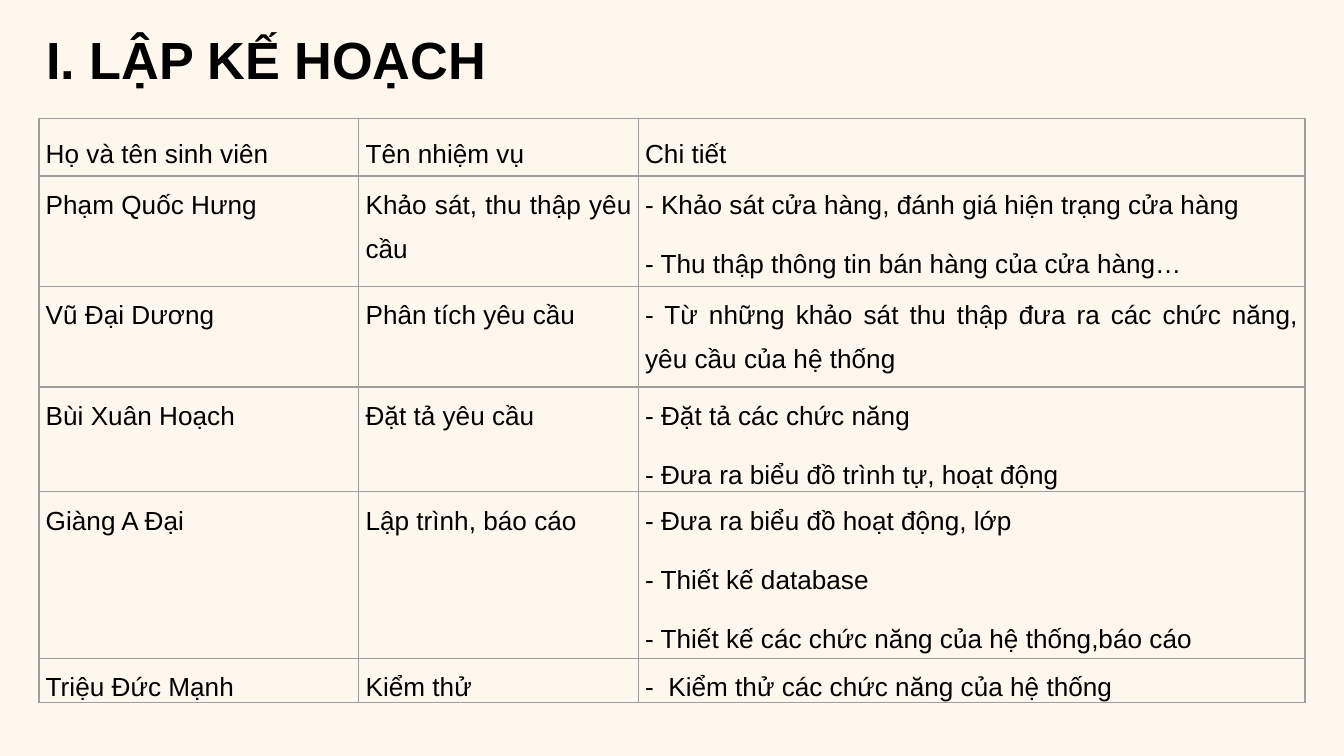
from dataclasses import dataclass

import lxml.etree
import pptx
import pptx.dml.color
import pptx.enum.text
import pptx.oxml.ns
import pptx.util

Inches, Pt = pptx.util.Inches, pptx.util.Pt
RGB = pptx.dml.color.RGBColor.from_string
Anchor, Align = pptx.enum.text.MSO_ANCHOR, pptx.enum.text.PP_ALIGN
qn = pptx.oxml.ns.qn


@dataclass(frozen=True)
class Theme:
    background: str = "FEF7EE"
    ink: str = "000000"
    border: str = "9E9E9E"
    font: str = "Arial"
    title_size: int = 28
    body_size: int = 14
    border_width: float = 0.75


THEME = Theme()
SLIDE_WIDTH = 10
SLIDE_HEIGHT = SLIDE_WIDTH * 9 / 16

TITLE = "I. LẬP KẾ HOẠCH"
TITLE_BOX = (-0.37, -0.18, 4.7, 0.95)

HEADINGS = ("Họ và tên sinh viên", "Tên nhiệm vụ", ["Chi tiết"])
ASSIGNMENTS = [
    ("Phạm Quốc Hưng", "Khảo sát, thu thập yêu cầu", [
        "- Khảo sát cửa hàng, đánh giá hiện trạng cửa hàng",
        "- Thu thập thông tin bán hàng của cửa hàng…"]),
    ("Vũ Đại Dương", "Phân tích yêu cầu", [
        "- Từ những khảo sát thu thập đưa ra các chức năng, yêu cầu của hệ thống"]),
    ("Bùi Xuân Hoạch", "Đặt tả yêu cầu", [
        "- Đặt tả các chức năng",
        "- Đưa ra biểu đồ trình tự, hoạt động"]),
    ("Giàng A Đại", "Lập trình, báo cáo", [
        "- Đưa ra biểu đồ hoạt động, lớp",
        "- Thiết kế database",
        "- Thiết kế các chức năng của hệ thống,báo cáo"]),
    ("Triệu Đức Mạnh", "Kiểm thử", [
        "-  Kiểm thử các chức năng của hệ thống"]),
]
TABLE_ORIGIN = (0.29, 0.88)
COLUMN_WIDTHS = (2.38, 2.08, 4.96)
ROW_HEIGHTS = (0.43, 0.82, 0.75, 0.78, 1.24, 0.31)


def style_font(font, size, bold=False):
    font.name, font.size, font.bold = THEME.font, Pt(size), bold
    font.color.rgb = RGB(THEME.ink)


def add_borders(cell):
    """Outline all four sides; the lines must precede the fill in tcPr."""
    properties = cell._tc.get_or_add_tcPr()
    for position, side in enumerate(("a:lnL", "a:lnR", "a:lnT", "a:lnB")):
        line = lxml.etree.Element(qn(side), w=str(Pt(THEME.border_width)))
        fill = lxml.etree.SubElement(line, qn("a:solidFill"))
        lxml.etree.SubElement(fill, qn("a:srgbClr"), val=THEME.border)
        properties.insert(position, line)


def fill_cell(cell, lines, anchor):
    cell.fill.background()
    add_borders(cell)
    cell.margin_left = cell.margin_right = Inches(0.05)
    cell.margin_top = cell.margin_bottom = 0
    cell.vertical_anchor = anchor
    cell.text_frame.text = "\n".join(lines)
    for paragraph in cell.text_frame.paragraphs:
        paragraph.alignment = Align.JUSTIFY
        paragraph.line_spacing = 1.5
        paragraph.space_after = Pt(8)
        style_font(paragraph.font, THEME.body_size)


def add_title(slide):
    title = slide.shapes.title
    title.left, title.top, title.width, title.height = map(Inches, TITLE_BOX)
    frame = title.text_frame
    frame.text = TITLE
    frame.auto_size = pptx.enum.text.MSO_AUTO_SIZE.NONE
    frame.word_wrap = True
    frame.vertical_anchor = Anchor.BOTTOM
    frame.margin_left = frame.margin_right = Inches(0.1)
    frame.margin_top = frame.margin_bottom = Inches(0.1)
    frame.paragraphs[0].alignment = Align.CENTER
    style_font(frame.paragraphs[0].font, THEME.title_size, bold=True)


def add_plan(slide):
    rows = [HEADINGS, *ASSIGNMENTS]
    extent = (sum(COLUMN_WIDTHS), sum(ROW_HEIGHTS))
    plan = slide.shapes.add_table(
        len(rows), len(COLUMN_WIDTHS), *map(Inches, TABLE_ORIGIN + extent)).table
    plan.first_row = plan.horz_banding = False
    for column, width in zip(plan.columns, COLUMN_WIDTHS):
        column.width = Inches(width)
    for row, height in zip(plan.rows, ROW_HEIGHTS):
        row.height = Inches(height)
    for r, (student, task, details) in enumerate(rows):
        anchor = Anchor.TOP if r else Anchor.MIDDLE
        for c, lines in enumerate(([student], [task], details)):
            fill_cell(plan.cell(r, c), lines, anchor)


def main():
    presentation = pptx.Presentation()
    presentation.slide_width = Inches(SLIDE_WIDTH)
    presentation.slide_height = Inches(SLIDE_HEIGHT)
    slide = presentation.slides.add_slide(presentation.slide_layouts[5])
    slide.background.fill.solid()
    slide.background.fill.fore_color.rgb = RGB(THEME.background)
    add_title(slide)
    add_plan(slide)
    presentation.save("out.pptx")


if __name__ == "__main__":
    main()
